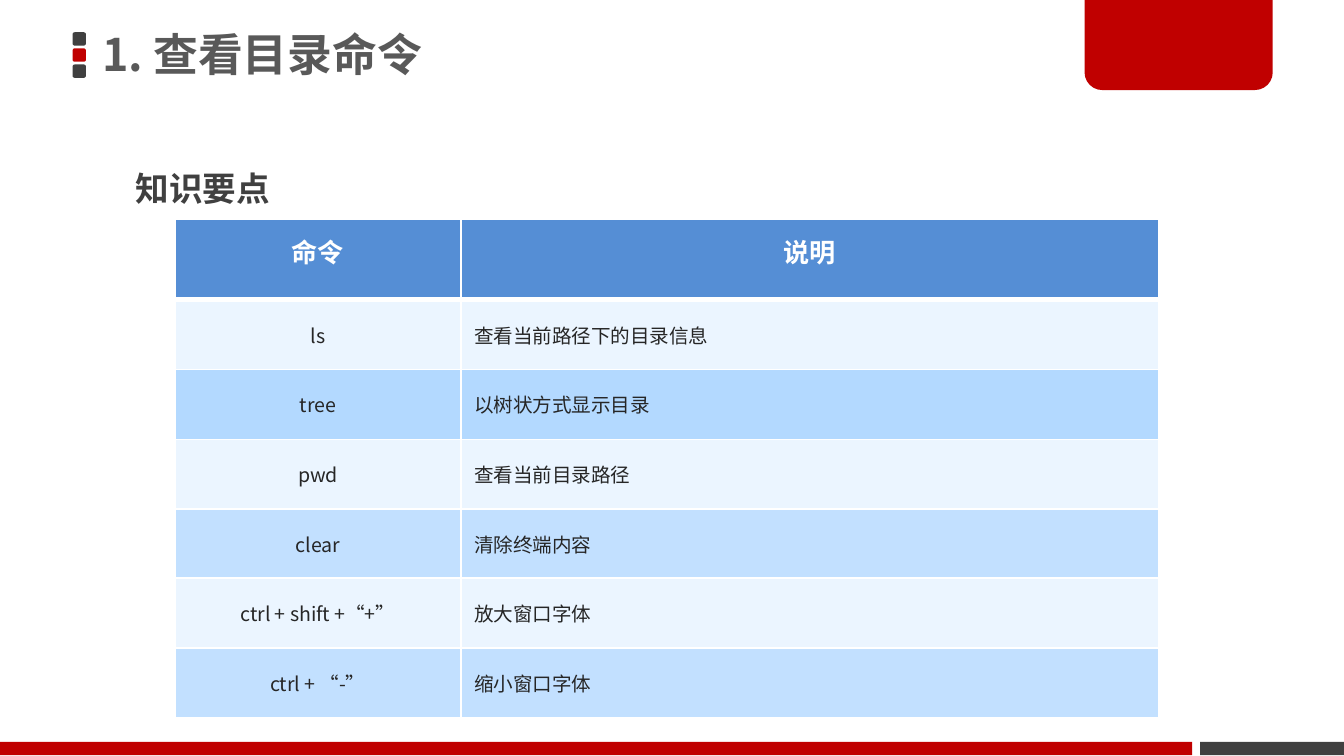
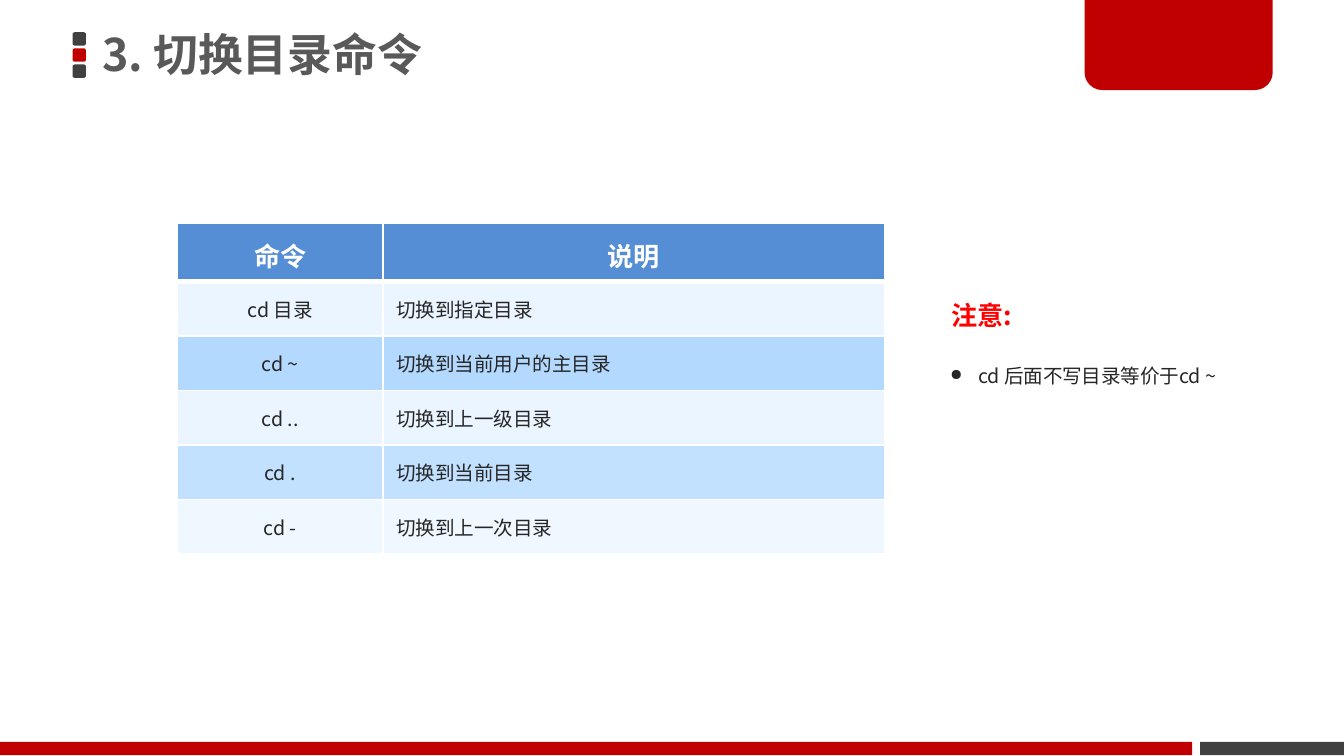
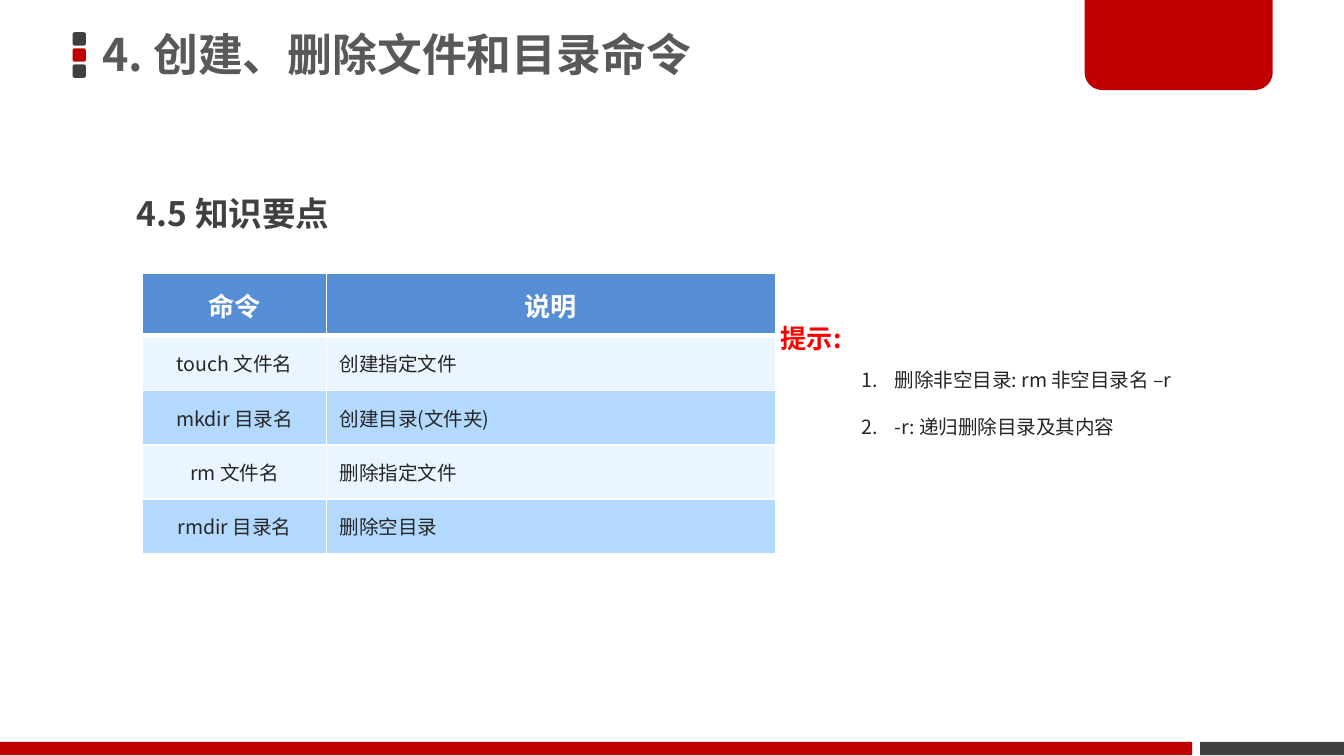
from dataclasses import dataclass
from typing import Optional

from lxml.etree import SubElement
from pptx import Presentation
from pptx.dml.color import RGBColor
from pptx.enum.shapes import MSO_SHAPE as Preset
from pptx.enum.text import MSO_ANCHOR as Anchor
from pptx.enum.text import MSO_AUTO_SIZE as AutoSize
from pptx.enum.text import PP_ALIGN as Align
from pptx.oxml.ns import qn
from pptx.util import Inches, Pt

FONT = "Noto Sans CJK SC"
COLORS = {
    "red": "C00000",
    "dark": "404040",
    "title": "595959",
    "body": "262626",
    "alert": "FF0000",
    "white": "FFFFFF",
    "header": "558ED5",
    "pale": "EBF5FF",
    "blue": "B3D9FF",
}
HEADER = ("命令", "说明")


@dataclass(frozen=True)
class TextStyle:
    size: float
    color: str
    bold: bool = False
    line_spacing: Optional[float] = None


TITLE = TextStyle(24, "title", True, 0.9)
HEADING = TextStyle(18, "dark", True, 1.5)
ALERT = TextStyle(14, "alert", True)
BODY = TextStyle(10.5, "body")
TABLE_HEAD = TextStyle(14, "white", True, Pt(24))


@dataclass(frozen=True)
class Block:
    preset: Preset
    left: float
    top: float
    width: float
    height: float
    color: str
    adjustments: tuple[float, ...] = ()


MARKERS = [
    Block(Preset.ROUNDED_RECTANGLE, 0.54, 0.24 + 0.12 * i, 0.1, 0.1, color, (0.167,))
    for i, color in enumerate(("dark", "red", "dark"))
]
BANDS = [
    Block(Preset.RECTANGLE, 8.93, 5.52, 1.07, 0.1, "dark"),
    Block(Preset.ROUND_2_SAME_RECTANGLE, 8.07, -0.02, 1.4, 0.69, "red", (0, 0.19)),
    Block(Preset.RECTANGLE, 0, 5.52, 8.87, 0.1, "red"),
]


@dataclass(frozen=True)
class Bullet:
    tag: str
    key: str
    value: str
    indent: float
    percent: int = 100


DOT = Bullet("a:buChar", "char", "●", 0.21, 80)
NUMBER = Bullet("a:buAutoNum", "type", "arabicPeriod", 0.25)


@dataclass(frozen=True)
class Label:
    lines: tuple[str, ...]
    left: float
    top: float
    width: float
    height: float
    style: TextStyle
    bullet: Optional[Bullet] = None


@dataclass(frozen=True)
class Row:
    command: str
    meaning: str
    color: str
    alpha: int = 100


@dataclass(frozen=True)
class CommandTable:
    left: float
    top: float
    columns: tuple[float, float]
    height: float
    rows: tuple[Row, ...]
    header_height: float = 0


@dataclass(frozen=True)
class Lesson:
    title: str
    tables: tuple[CommandTable, ...]
    labels: tuple[Label, ...]


LESSONS = [
    Lesson(
        "1. 查看目录命令",
        (
            CommandTable(1.3, 1.63, (2.13, 5.19), 2.68, (
                Row("ls", "查看当前路径下的目录信息", "pale"),
                Row("tree", "以树状方式显示目录", "blue"),
                Row("pwd", "查看当前目录路径", "pale"),
                Row("clear", "清除终端内容", "blue", 80),
            ), 0.6),
            CommandTable(1.3, 4.3, (2.13, 5.19), 0.52, (
                Row("ctrl + shift +“+”", "放大窗口字体", "pale"),
            )),
            CommandTable(1.3, 4.82, (2.13, 5.19), 0.52, (
                Row("ctrl + “-”", "缩小窗口字体", "blue", 80),
            )),
        ),
        (Label(("知识要点",), 0.91, 1.05, 3.84, 0.56, HEADING),),
    ),
    Lesson(
        "3. 切换目录命令",
        (
            CommandTable(1.32, 1.66, (1.53, 3.73), 2.46, (
                Row("cd 目录", "切换到指定目录", "pale"),
                Row("cd ~", "切换到当前用户的主目录", "blue"),
                Row("cd ..", "切换到上一级目录", "pale"),
                Row("cd .", "切换到当前目录", "blue", 80),
                Row("cd -", "切换到上一次目录", "pale", 80),
            ), 0.43),
        ),
        (
            Label(("注意:",), 6.98, 2.18, 1.72, 0.34, ALERT),
            Label(("cd 后面不写目录等价于cd ~",), 6.97, 2.66, 2.28, 0.28, BODY, DOT),
        ),
    ),
    Lesson(
        "4. 创建、删除文件和目录命令",
        (
            CommandTable(1.06, 2.03, (1.37, 3.34), 2.09, (
                Row("touch 文件名", "创建指定文件", "pale"),
                Row("mkdir 目录名", "创建目录(文件夹)", "blue"),
                Row("rm 文件名", "删除指定文件", "pale"),
                Row("rmdir 目录名", "删除空目录", "blue"),
            ), 0.47),
        ),
        (
            Label(("4.5 知识要点",), 0.92, 1.24, 5.26, 0.56, HEADING),
            Label(("提示:",), 5.71, 2.35, 1.25, 0.34, ALERT),
            Label(("删除非空目录: rm 非空目录名 –r", "-r: 递归删除目录及其内容"),
                  6.31, 2.69, 2.91, 0.63, BODY, NUMBER),
        ),
    ),
]


def rgb(name: str) -> RGBColor:
    return RGBColor.from_string(COLORS[name])


def style_paragraph(para, style: TextStyle) -> None:
    if style.line_spacing:
        para.line_spacing = style.line_spacing
    font = para.font
    font.size = Pt(style.size)
    font.bold = style.bold
    font.name = FONT
    font.color.rgb = rgb(style.color)
    defaults = para._p.pPr.find(qn("a:defRPr"))
    SubElement(defaults, qn("a:ea")).set("typeface", FONT)


def add_bullet(para, bullet: Bullet) -> None:
    properties = para._p.get_or_add_pPr()
    properties.set("marL", str(Inches(bullet.indent)))
    properties.set("indent", str(-Inches(bullet.indent)))
    SubElement(properties, qn("a:buSzPct"), val=str(bullet.percent * 1000))
    SubElement(properties, qn(bullet.tag)).set(bullet.key, bullet.value)


def draw_block(shapes, block: Block) -> None:
    shape = shapes.add_shape(block.preset, Inches(block.left), Inches(block.top),
                             Inches(block.width), Inches(block.height))
    for i, value in enumerate(block.adjustments):
        shape.adjustments[i] = value
    shape.shadow.inherit = False
    shape.fill.solid()
    shape.fill.fore_color.rgb = rgb(block.color)
    shape.line.fill.background()


def draw_label(page, label: Label):
    box = page.shapes.add_textbox(Inches(label.left), Inches(label.top),
                                  Inches(label.width), Inches(label.height))
    frame = box.text_frame
    frame.word_wrap = True
    frame.auto_size = AutoSize.SHAPE_TO_FIT_TEXT
    for i, line in enumerate(label.lines):
        para = frame.add_paragraph() if i else frame.paragraphs[0]
        para.text = line
        if i:
            para.space_before = Pt(12.5)
        if label.bullet:
            add_bullet(para, label.bullet)
        style_paragraph(para, label.style)
    return frame


def draw_title(page, title: str) -> None:
    frame = draw_label(page, Label((title,), 0.69, -0.02, 5.89, 0.89, TITLE))
    frame.auto_size = AutoSize.NONE
    frame.vertical_anchor = Anchor.MIDDLE
    frame.margin_left = frame.margin_right = Inches(0.07)
    frame.margin_top = frame.margin_bottom = Inches(0.04)


def draw_cell(cell, text: str, style: TextStyle, color: str, alpha: int = 100,
              centered: bool = True, top: int = 1, bottom: int = 1) -> None:
    properties = cell._tc.get_or_add_tcPr()
    for side, width in (("L", 1), ("R", 1), ("T", top), ("B", bottom)):
        edge = SubElement(properties, qn(f"a:ln{side}"), w=str(Pt(width)))
        paint = SubElement(edge, qn("a:solidFill"))
        SubElement(paint, qn("a:srgbClr"), val=COLORS["white"])
    cell.fill.solid()
    cell.fill.fore_color.rgb = rgb(color)
    if alpha < 100:
        tint = properties.find(f"{qn('a:solidFill')}/{qn('a:srgbClr')}")
        SubElement(tint, qn("a:alpha"), val=str(alpha * 1000))
    cell.vertical_anchor = Anchor.TOP if style is TABLE_HEAD else Anchor.MIDDLE
    para = cell.text_frame.paragraphs[0]
    para.text = text
    para.alignment = Align.CENTER if centered else Align.LEFT
    style_paragraph(para, style)


def draw_table(page, spec: CommandTable) -> None:
    start = 1 if spec.header_height else 0
    row_height = (spec.height - spec.header_height) / len(spec.rows)
    heights = [spec.header_height] * start + [row_height] * len(spec.rows)
    table = page.shapes.add_table(len(heights), 2, Inches(spec.left), Inches(spec.top),
                                  Inches(sum(spec.columns)), Inches(spec.height)).table
    table.first_row = bool(start)
    table.horz_banding = False
    for column, width in zip(table.columns, spec.columns):
        column.width = Inches(width)
    for row, height in zip(table.rows, heights):
        row.height = Inches(height)
    if start:
        for i, text in enumerate(HEADER):
            draw_cell(table.cell(0, i), text, TABLE_HEAD, "header", bottom=3)
    for i, row in enumerate(spec.rows, start):
        for j, text in enumerate((row.command, row.meaning)):
            draw_cell(table.cell(i, j), text, BODY, row.color, row.alpha,
                      centered=j == 0, top=3 if start and i == 1 else 1)


def draw_frame(page) -> None:
    group = page.shapes.add_group_shape()
    for marker in MARKERS:
        draw_block(group.shapes, marker)
    for band in BANDS:
        draw_block(page.shapes, band)


def main() -> None:
    deck = Presentation()
    deck.slide_width = Inches(10)
    deck.slide_height = deck.slide_width * 9 // 16
    for lesson in LESSONS:
        page = deck.slides.add_slide(deck.slide_layouts[6])
        draw_frame(page)
        draw_title(page, lesson.title)
        for label in lesson.labels:
            draw_label(page, label)
        for spec in lesson.tables:
            draw_table(page, spec)
    deck.save("out.pptx")


if __name__ == "__main__":
    main()
